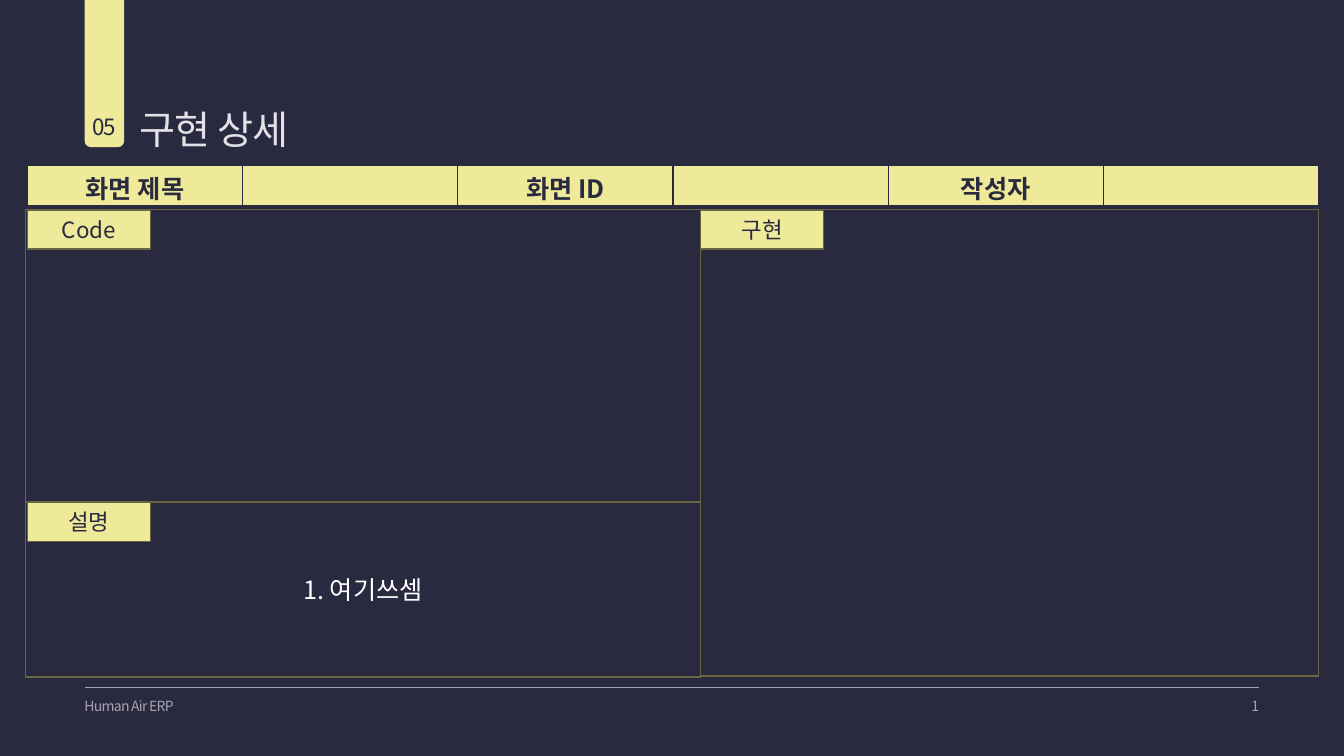
from dataclasses import dataclass

import pptx
import pptx.dml.color
import pptx.enum.shapes
import pptx.enum.text
import pptx.oxml
import pptx.oxml.ns
import pptx.util

Cm = pptx.util.Cm
Pt = pptx.util.Pt
SHAPE = pptx.enum.shapes.MSO_SHAPE
ALIGN = pptx.enum.text.PP_ALIGN
ANCHOR = pptx.enum.text.MSO_ANCHOR
FONT = "Noto Sans CJK KR"
COLORS = {"navy": "29293F", "yellow": "EFE99A", "olive": "696643",
          "gray": "A7A4B0", "light": "E2E1E5", "white": "FFFFFF"}


@dataclass
class Label:
    text: str
    left: float
    top: float
    width: float
    height: float
    size: int
    color: str
    spacing: float
    align: ALIGN = ALIGN.LEFT
    anchor: ANCHOR = ANCHOR.TOP


@dataclass
class Panel:
    tag: str
    left: float
    top: float
    width: float
    height: float
    tag_left: float
    tag_top: float
    body: str = ""


TITLE = Label("구현 상세", 3.51, 2.54, 3.91, 1.32, 28, "light", -0.7)
LABELS = [
    Label("Human Air ERP", 2.13, 17.58, 2.51, 0.43, 10, "gray", -0.5),
    Label("05", 2.24, 2.84, 0.76, 0.69, 16, "navy", -0.7, ALIGN.CENTER),
    Label("1", 31.27, 17.58, 0.46, 0.43, 10, "gray", -0.5,
          ALIGN.RIGHT, ANCHOR.MIDDLE),
]
HEADERS = ["화면 제목", "", "화면 ID", "", "작성자", ""]
PANELS = [
    Panel("Code", 0.64, 5.28, 17.02, 7.37, 0.69, 5.31),
    Panel("구현", 17.66, 5.28, 15.57, 11.76, 17.66, 5.31),
    Panel("설명", 0.64, 12.67, 17.02, 4.39, 0.69, 12.67, "1. 여기쓰셈"),
]


def rgb(name: str) -> pptx.dml.color.RGBColor:
    return pptx.dml.color.RGBColor.from_string(COLORS[name])


def style_text(tf, size: int, color: str, align=ALIGN.CENTER,
               bold: bool = False, spacing: float = 0) -> None:
    p = tf.paragraphs[0]
    p.alignment = align
    for r in p.runs:
        r.font.size = Pt(size)
        r.font.bold = bold
        r.font.color.rgb = rgb(color)
        r.font.name = FONT
        rpr = r.font._element
        rpr.set("spc", str(round(spacing * 100)))
        ea = pptx.oxml.parse_xml(
            f'<a:ea {pptx.oxml.ns.nsdecls("a")} typeface="{FONT}"/>')
        rpr.append(ea)


def fill_label(sp, label: Label) -> None:
    sp.left, sp.top = Cm(label.left), Cm(label.top)
    sp.width, sp.height = Cm(label.width), Cm(label.height)
    tf = sp.text_frame
    tf.text = label.text
    tf.margin_left = tf.margin_right = tf.margin_top = tf.margin_bottom = 0
    tf.word_wrap = False
    tf.auto_size = pptx.enum.text.MSO_AUTO_SIZE.SHAPE_TO_FIT_TEXT
    tf.vertical_anchor = label.anchor
    style_text(tf, label.size, label.color, label.align,
               spacing=label.spacing)


def add_box(s, kind, left: float, top: float, width: float, height: float,
            fill: str = "", line: str = ""):
    sp = s.shapes.add_shape(kind, Cm(left), Cm(top), Cm(width), Cm(height))
    sp.shadow.inherit = False
    if fill:
        sp.fill.solid()
        sp.fill.fore_color.rgb = rgb(fill)
    else:
        sp.fill.background()
    if line:
        sp.line.color.rgb = rgb(line)
        sp.line.width = Pt(1)
    else:
        sp.line.fill.background()
    return sp


def write_box(sp, text: str, size: int, color: str) -> None:
    sp.text_frame.text = text
    sp.text_frame.vertical_anchor = ANCHOR.MIDDLE
    style_text(sp.text_frame, size, color)


def add_panel(s, panel: Panel) -> None:
    sp = add_box(s, SHAPE.RECTANGLE, panel.left, panel.top,
                 panel.width, panel.height, line="olive")
    if panel.body:
        write_box(sp, panel.body, 18, "white")
    tag = add_box(s, SHAPE.RECTANGLE, panel.tag_left, panel.tag_top,
                  3.1, 0.97, "yellow", "olive")
    write_box(tag, panel.tag, 16, "navy")


def add_border(cell, side: str, width: float) -> None:
    ln = pptx.oxml.parse_xml(
        f'<a:{side} {pptx.oxml.ns.nsdecls("a")} w="{Pt(width)}">'
        f'<a:solidFill><a:srgbClr val="{COLORS["navy"]}"/></a:solidFill>'
        f'</a:{side}>')
    cell._tc.get_or_add_tcPr().append(ln)


def add_header_table(s) -> None:
    width = 32.54
    table = s.shapes.add_table(1, len(HEADERS), Cm(0.69), Cm(4.17),
                               Cm(width), Cm(1.04)).table
    for i, text in enumerate(HEADERS):
        table.columns[i].width = Cm(width / len(HEADERS))
        cell = table.cell(0, i)
        cell.text = text
        cell.margin_top, cell.margin_bottom = Cm(0.1), 0
        style_text(cell.text_frame, 18, "navy", bold=True)
        for side, weight in (("lnL", 1), ("lnR", 1), ("lnT", 1), ("lnB", 3)):
            add_border(cell, side, weight)
        cell.fill.solid()
        cell.fill.fore_color.rgb = rgb("yellow")


def add_rule(s) -> None:
    line = s.shapes.add_connector(pptx.enum.shapes.MSO_CONNECTOR.STRAIGHT,
                                  Cm(2.13), Cm(17.32), Cm(31.72), Cm(17.32))
    line.line.color.rgb = rgb("gray")
    line.line.width = Pt(1)
    line._element.spPr.append(pptx.oxml.parse_xml(
        f'<a:effectLst {pptx.oxml.ns.nsdecls("a")}/>'))


def main() -> None:
    prs = pptx.Presentation()
    prs.slide_width, prs.slide_height = Cm(33.87), Cm(19.05)
    s = prs.slides.add_slide(prs.slide_layouts[5])
    s.background.fill.solid()
    s.background.fill.fore_color.rgb = rgb("navy")

    # Title and its bookmark
    fill_label(s.shapes.title, TITLE)
    s.shapes.title.text_frame.paragraphs[0].line_spacing = 1.1
    bookmark = add_box(s, SHAPE.ROUND_2_SAME_RECTANGLE,
                       2.13, 0, 1, 3.71, "yellow")
    bookmark.rotation = 180

    # Footer and section number
    add_rule(s)
    for label in LABELS:
        fill_label(s.shapes.add_textbox(0, 0, 0, 0), label)

    # Header table and content panels
    add_header_table(s)
    for panel in PANELS:
        add_panel(s, panel)

    prs.save("out.pptx")


if __name__ == "__main__":
    main()
